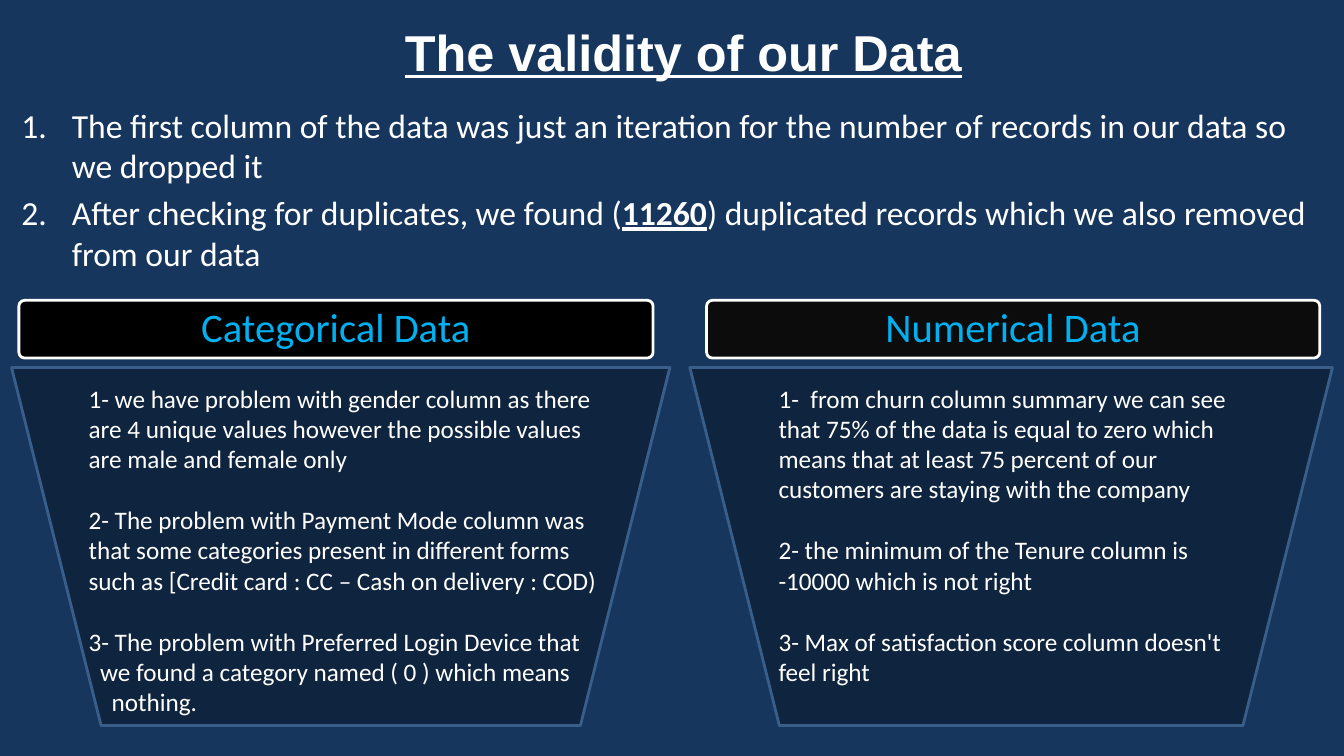
from lxml.etree import SubElement
from pptx import Presentation
from pptx.dml.color import RGBColor
from pptx.enum.shapes import MSO_SHAPE as SHAPE
from pptx.enum.text import MSO_ANCHOR as ANCHOR, PP_ALIGN as ALIGN
from pptx.oxml.ns import qn
from pptx.util import Emu, Pt

PX = 9525
WHITE = "FFFFFF"
BLANK_LINE = 22  # height of one 18 pt line, in points

RULES = [
    [("The first column of the data was just an iteration for the number of "
      "records in our data so we dropped it", False)],
    [("After checking for duplicates, we found (", False),
     ("11260", True),
     (") duplicated records which we also removed from our data", False)],
]
# Each finding: text, space before in points, left indent in px
CATEGORICAL = [
    ("1- we have problem with gender column as there are 4 unique values "
     "however the possible values are male and female only", 0, 0),
    ("2- The problem with Payment Mode column was that some categories present "
     "in different forms such as [Credit card : CC – Cash on delivery : COD)",
     BLANK_LINE, 0),
    ("3- The problem with Preferred Login Device that", BLANK_LINE, 0),
    ("we found a category named ( 0 ) which means", 0, 11),
    ("nothing.", 0, 22),
]
NUMERICAL = [
    ("1-  from churn column summary we can see that 75% of the data is equal to "
     "zero which means that at least 75 percent of our customers are staying "
     "with the company", 0, 0),
    ("2- the minimum of the Tenure column is -10000 which is not right",
     BLANK_LINE, 0),
    ("3- Max of satisfaction score column doesn't feel right", BLANK_LINE, 0),
]


def px(*lengths):
    return [Emu(length * PX) for length in lengths]


def color(hex_value):
    return RGBColor.from_string(hex_value)


def style(run, size, hex_value=WHITE, font="Calibri", strong=False):
    """Format a run; strong means bold and underlined."""
    run.font.size = Pt(size)
    run.font.name = font
    run.font.color.rgb = color(hex_value)
    run.font.bold = run.font.underline = strong


def add_text_shadow(run):
    fill = run.font._element.find(qn("a:solidFill"))
    effects = fill.makeelement(qn("a:effectLst"), {})
    fill.addnext(effects)
    shadow = SubElement(effects, qn("a:outerShdw"), blurRad="38100", dist="38100",
                        dir="2700000", algn="tl")
    black = SubElement(shadow, qn("a:srgbClr"), val="000000")
    SubElement(black, qn("a:alpha"), val="43000")


def set_title(slide, text):
    title = slide.shapes.title
    title.left, title.top, title.width, title.height = px(368, 12, 566, 73)
    frame = title.text_frame
    frame.text = text
    frame.vertical_anchor = ANCHOR.MIDDLE
    heading = frame.paragraphs[0]
    heading.alignment = ALIGN.CENTER
    style(heading.runs[0], 36, font="Arial", strong=True)
    add_text_shadow(heading.runs[0])


def add_text_frame(slide, box):
    frame = slide.shapes.add_textbox(*px(*box)).text_frame
    frame.word_wrap = True
    return frame


def next_paragraph(frame, index):
    return frame.add_paragraph() if index else frame.paragraphs[0]


def add_numbered_list(slide, box, items):
    frame = add_text_frame(slide, box)
    for index, parts in enumerate(items):
        item = next_paragraph(frame, index)
        item.space_before = Pt(4.8 if index else 0)
        for text, strong in parts:
            run = item.add_run()
            run.text = text
            style(run, 24, strong=strong)
        properties = item._p.get_or_add_pPr()
        properties.set("marL", str(48 * PX))
        properties.set("indent", str(-48 * PX))
        number_color = SubElement(properties, qn("a:buClr"))
        SubElement(number_color, qn("a:srgbClr"), val=WHITE)
        SubElement(properties, qn("a:buFont"), typeface="+mj-lt")
        SubElement(properties, qn("a:buAutoNum"), type="arabicPeriod")


def add_panel(slide, kind, box, adjustment, fill, line):
    panel = slide.shapes.add_shape(kind, *px(*box))
    panel.shadow.inherit = False
    panel.adjustments[0] = adjustment
    panel.fill.solid()
    panel.fill.fore_color.rgb = color(fill)
    panel.line.color.rgb = color(line)
    panel.line.width = Pt(2)
    return panel


def add_header(slide, box, fill, text):
    header = add_panel(slide, SHAPE.ROUNDED_RECTANGLE, box, 0.1, fill, WHITE)
    frame = header.text_frame
    frame.text = text
    frame.vertical_anchor = ANCHOR.MIDDLE
    frame.margin_top = frame.margin_bottom = Emu(4 * PX)
    caption = frame.paragraphs[0]
    caption.alignment = ALIGN.CENTER
    caption.line_spacing = 0.9
    style(caption.runs[0], 29, "00B0F0")


def add_findings(slide, box, findings):
    frame = add_text_frame(slide, box)
    for index, (text, gap, indent) in enumerate(findings):
        finding = next_paragraph(frame, index)
        finding.text = text
        finding.space_before = Pt(gap)
        if indent:
            finding._p.get_or_add_pPr().set("marL", str(indent * PX))
        style(finding.runs[0], 18)


def main():
    deck = Presentation()
    deck.slide_width, deck.slide_height = px(1280, 720)
    slide = deck.slides.add_slide(deck.slide_layouts[5])
    slide.background.fill.solid()
    slide.background.fill.fore_color.rgb = color("17365D")

    set_title(slide, "The validity of our Data")
    add_numbered_list(slide, (11, 95, 1255, 612), RULES)

    add_header(slide, (18, 286, 604, 55), "000000", "Categorical Data")
    add_header(slide, (673, 286, 584, 55), "0C0C0C", "Numerical Data")
    for left, width in ((11, 627), (657, 612)):
        funnel = add_panel(slide, SHAPE.TRAPEZOID, (left, 350, width, 341),
                           0.25, "0F243E", "395E89")
        funnel.rotation = 180
    add_findings(slide, (75, 360, 511, 329), CATEGORICAL)
    add_findings(slide, (732, 360, 474, 300), NUMERICAL)

    deck.save("out.pptx")


if __name__ == "__main__":
    main()
